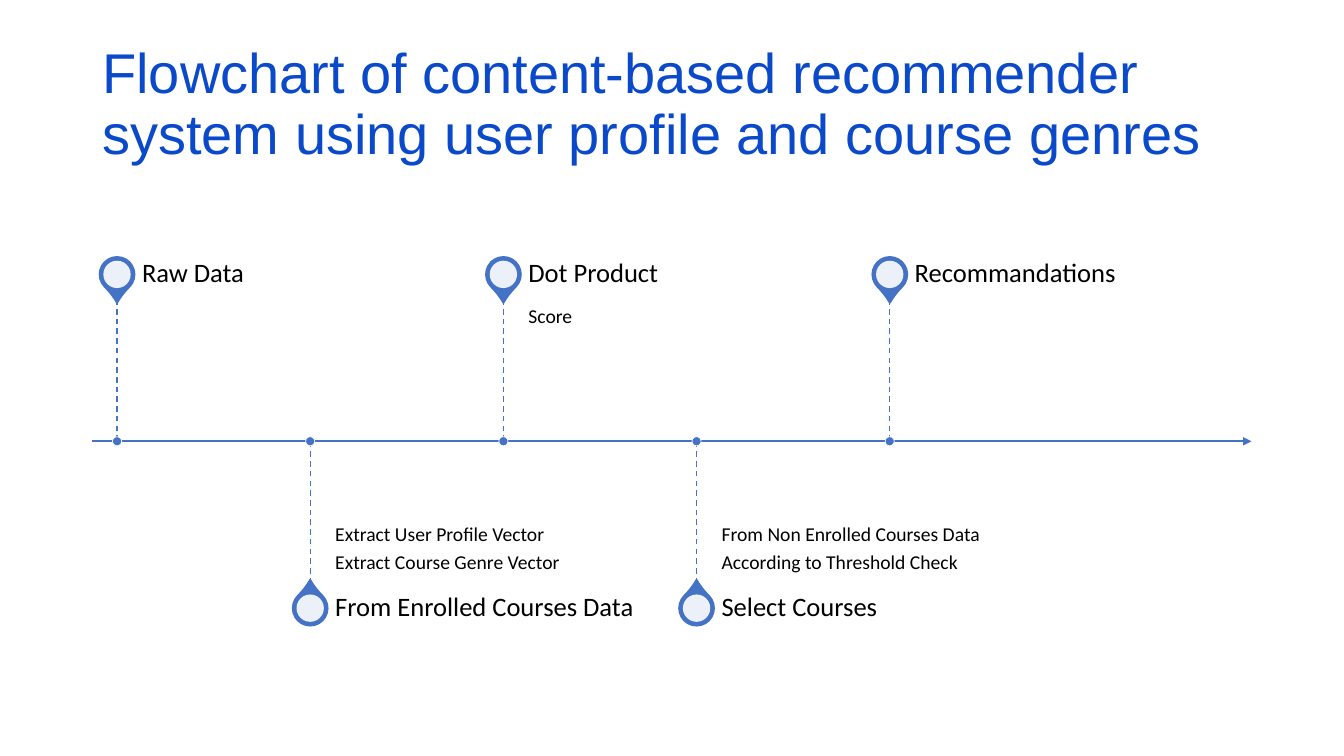
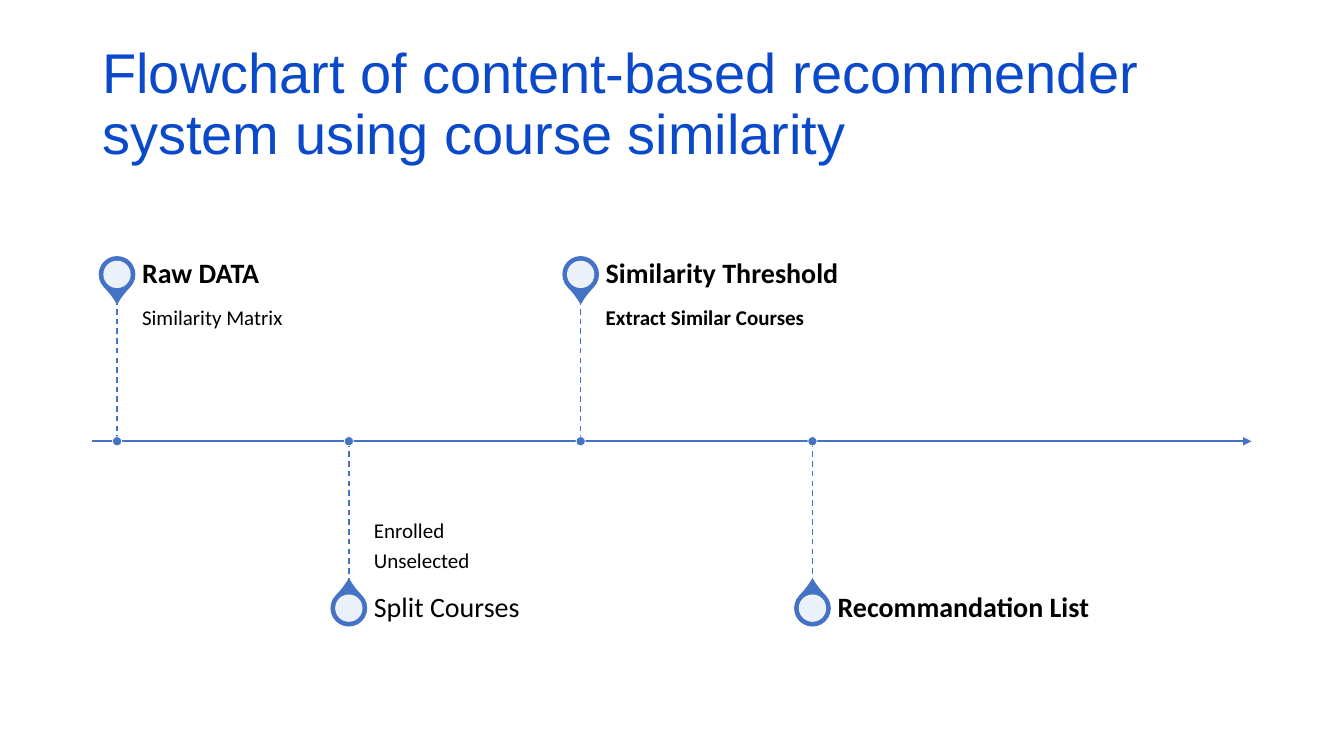
from lxml.etree import SubElement
from pptx import Presentation
from pptx.dml.color import RGBColor
from pptx.enum.dml import MSO_LINE
from pptx.enum.shapes import MSO_CONNECTOR, MSO_SHAPE
from pptx.enum.text import MSO_ANCHOR
from pptx.oxml.ns import qn
from pptx.util import Cm, Pt

BLUE = "4472C4"
TITLE_BLUE = "0B49CB"
WHITE = "FFFFFF"
BLACK = "000000"

TITLE_BOX = (2.33, 1.01, 29.21, 3.68)
TIMELINE_BOX = (2.33, 6.29, 29.21, 9.66)
FIRST_MARKER = 0.62
TEXT_OFFSET = 0.63
HEADING_HEIGHT = 1.25
PIN = 0.89
PIN_HOLE = 0.69
DOT = 0.23

SLIDES = [
    {
        "title": "Flowchart of content-based recommender system using user profile and course genres",
        "heading_size": 19,
        "detail_size": 14,
        "milestones": [
            ("Raw Data", [], False),
            ("From Enrolled Courses Data",
             ["Extract User Profile Vector", "Extract Course Genre Vector"], False),
            ("Dot Product", ["Score"], False),
            ("Select Courses",
             ["From Non Enrolled Courses Data", "According to Threshold Check"], False),
            ("Recommandations", [], False),
        ],
        "bold_details": [],
    },
    {
        "title": "Flowchart of content-based recommender system using course similarity",
        "heading_size": 20,
        "detail_size": 15,
        "milestones": [
            ("Raw DATA", ["Similarity Matrix"], True),
            ("Split Courses", ["Enrolled", "Unselected"], False),
            ("Similarity Threshold", ["Extract Similar Courses"], True),
            ("Recommandation List", [], True),
        ],
        "bold_details": ["Extract Similar Courses"],
    },
]


def colour(hex_code):
    return RGBColor.from_string(hex_code)


def add_text(slide, lines, box, size, font="Calibri", color=BLACK, bold=False,
             anchor=MSO_ANCHOR.TOP, insets=(0, 0, 0, 0), after=0.0):
    frame = slide.shapes.add_textbox(*map(Cm, box)).text_frame
    frame.word_wrap = True
    frame.vertical_anchor = anchor
    frame.margin_left, frame.margin_top, frame.margin_right, frame.margin_bottom = map(Cm, insets)
    for index, line in enumerate(lines):
        paragraph = frame.add_paragraph() if index else frame.paragraphs[0]
        paragraph.line_spacing = 0.9
        paragraph.space_after = Pt(size * after)
        run = paragraph.add_run()
        run.text = line
        run.font.name = font
        run.font.size = Pt(size)
        run.font.bold = bold
        run.font.color.rgb = colour(color)


def add_line(slide, start, end, width, dashed=False, arrow=False):
    line = slide.shapes.add_connector(MSO_CONNECTOR.STRAIGHT, *map(Cm, start + end))
    line.line.color.rgb = colour(BLUE)
    line.line.width = Pt(width)
    if dashed:
        line.line.dash_style = MSO_LINE.DASH
    if arrow:
        SubElement(line.line._get_or_add_ln(), qn("a:tailEnd"), type="triangle")
    SubElement(line._element.spPr, qn("a:effectLst"))


def add_centred(slide, kind, x, y, size, fill, outline=None, width=1.0):
    shape = slide.shapes.add_shape(kind, Cm(x - size / 2), Cm(y - size / 2), Cm(size), Cm(size))
    shape.shadow.inherit = False
    shape.fill.solid()
    shape.fill.fore_color.rgb = colour(fill)
    if outline:
        shape.line.color.rgb = colour(outline)
        shape.line.width = Pt(width)
    else:
        shape.line.fill.background()
    return shape


def add_pin(slide, x, y, above):
    drop = add_centred(slide, MSO_SHAPE.TEAR, x, y, PIN, BLUE, BLUE)
    drop.adjustments[0] = 1.15
    drop.rotation = 135 if above else 315
    hole = add_centred(slide, MSO_SHAPE.OVAL, x, y, PIN_HOLE, WHITE)
    hole_colour = hole._element.spPr.find(qn("a:solidFill"))[0]
    SubElement(hole_colour, qn("a:alpha"), val="90000")


def add_milestone(slide, box, above, milestone, content):
    heading, details, bold = milestone
    left, top, width, height = box
    x = left - TEXT_OFFSET
    stem = height - HEADING_HEIGHT
    axis = top + height if above else top
    heading_top = top if above else top + stem
    detail_top = top + HEADING_HEIGHT if above else top
    stem_end = detail_top if above else heading_top

    add_pin(slide, x, heading_top + HEADING_HEIGHT / 2, above)
    add_text(slide, [heading], (left, heading_top, width, HEADING_HEIGHT),
             content["heading_size"], bold=bold, anchor=MSO_ANCHOR.MIDDLE, after=0.35)
    if details:
        add_text(slide, details, (left, detail_top, width, stem), content["detail_size"],
                 bold=details[0] in content["bold_details"],
                 anchor=MSO_ANCHOR.TOP if above else MSO_ANCHOR.BOTTOM,
                 insets=(0, 0.25, 0.25, 0.4) if above else (0, 0.4, 0, 0.25), after=0.35)
    add_line(slide, (x, stem_end), (x, axis), 1, dashed=True)
    add_centred(slide, MSO_SHAPE.OVAL, x, axis, DOT, BLUE, WHITE, 0.5)


def add_timeline(slide, box, content):
    left, top, width, height = box
    half = height / 2
    axis = top + half
    step = width / (len(content["milestones"]) + 1)
    add_line(slide, (left, axis), (left + width, axis), 1.5, arrow=True)
    for index, milestone in enumerate(content["milestones"]):
        above = index % 2 == 0
        text_left = left + FIRST_MARKER + TEXT_OFFSET + index * step
        milestone_box = (text_left, top if above else axis, step * 5 / 3, half)
        add_milestone(slide, milestone_box, above, milestone, content)


def add_flowchart_slide(deck, content):
    slide = deck.slides.add_slide(deck.slide_layouts[6])
    add_text(slide, [content["title"]], TITLE_BOX, 40, font="Arial", color=TITLE_BLUE,
             insets=(0.25, 0.13, 0.25, 0.13))
    add_timeline(slide, TIMELINE_BOX, content)


def main():
    deck = Presentation()
    deck.slide_width, deck.slide_height = Cm(33.87), Cm(19.05)
    for content in SLIDES:
        add_flowchart_slide(deck, content)
    deck.save("out.pptx")


if __name__ == "__main__":
    main()
